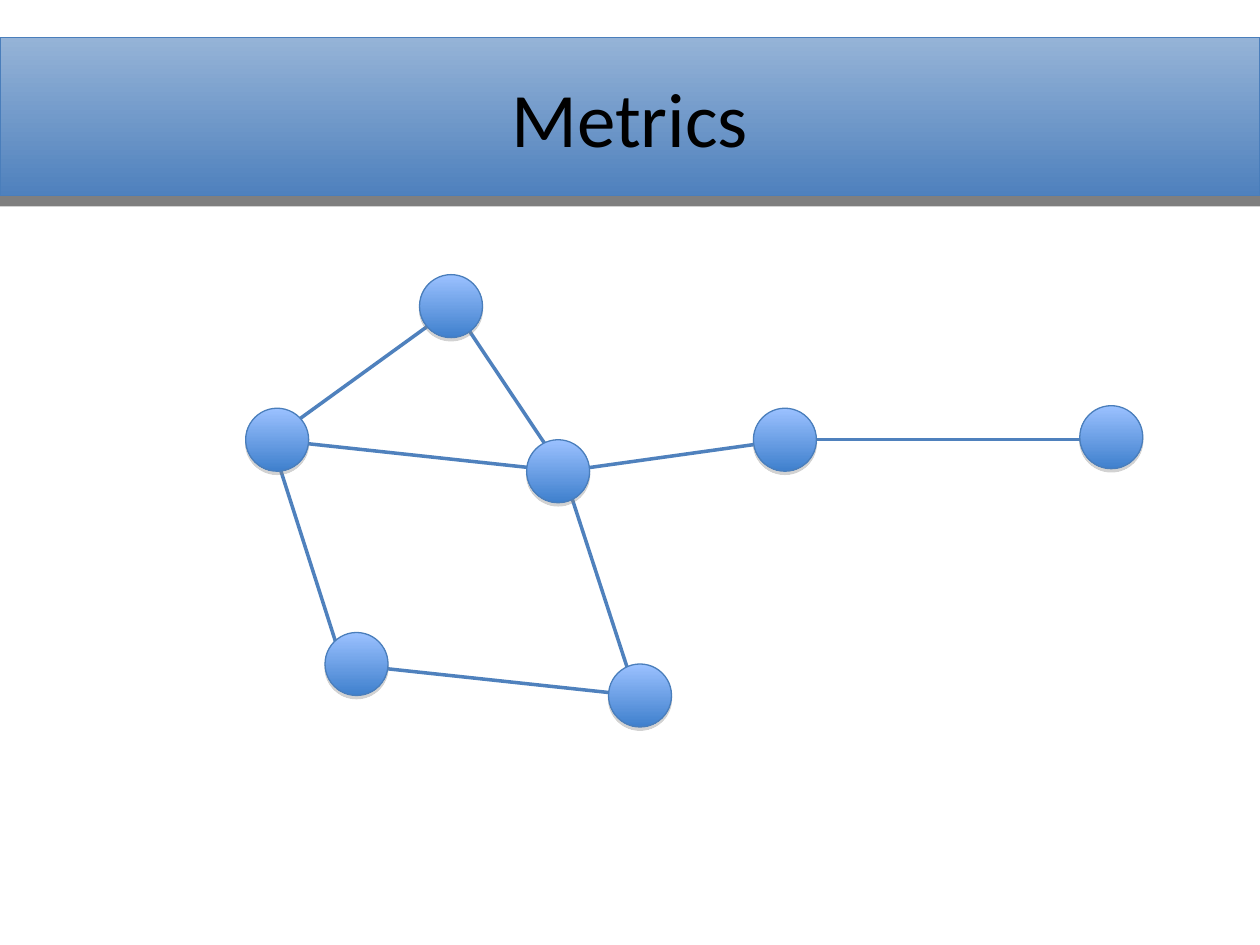
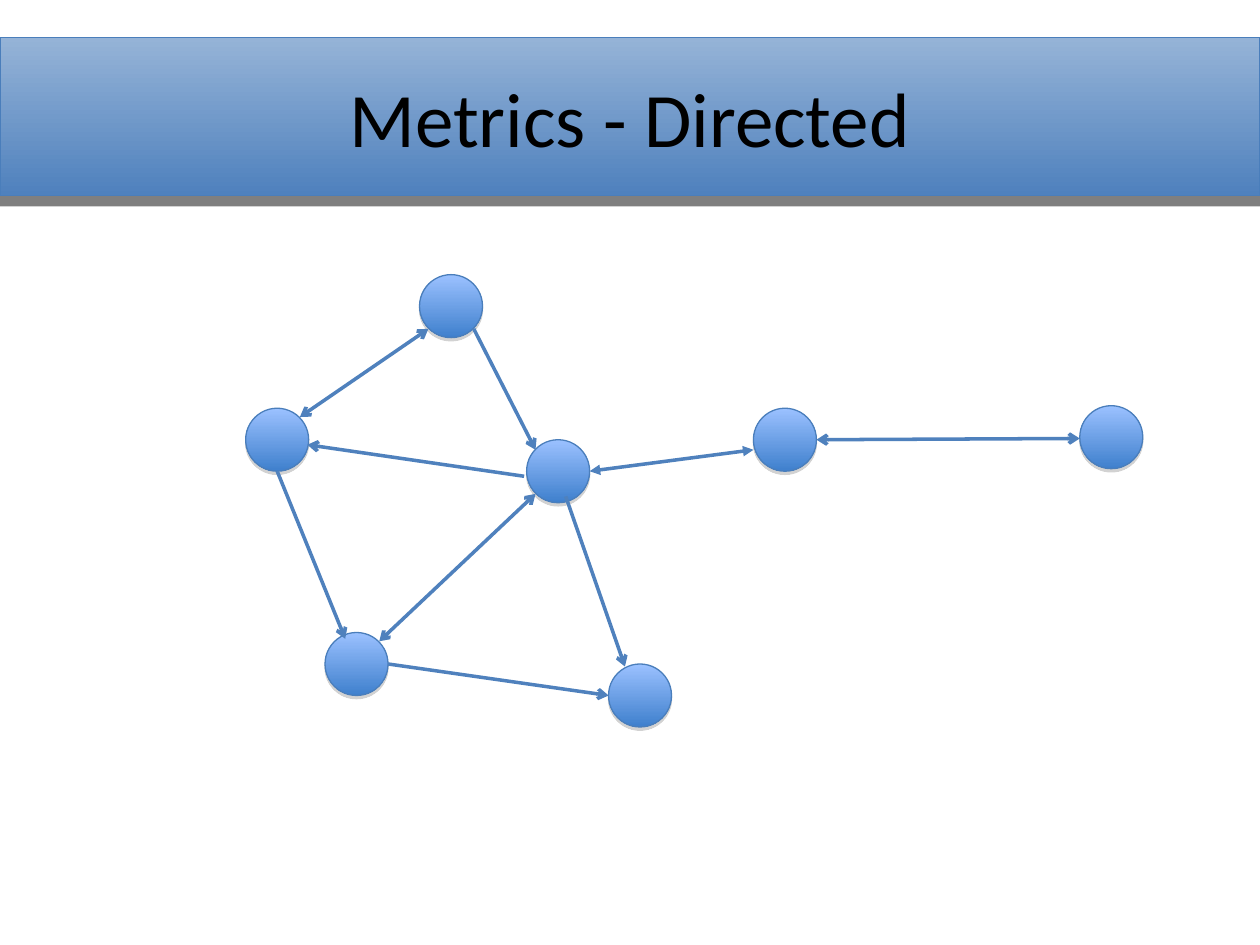
from lxml.etree import SubElement
from pptx import Presentation
from pptx.dml.color import RGBColor
from pptx.enum.shapes import MSO_CONNECTOR as CONN, MSO_SHAPE as SHAPE
from pptx.enum.text import MSO_ANCHOR as ANCHOR, PP_ALIGN as ALIGN
from pptx.oxml.ns import qn
from pptx.util import Inches, Pt

COLORS = {
    "band_top": "95B3D7", "band_bottom": "4F81BD",
    "node_top": "9BC1FF", "node_bottom": "3F80CD",
    "outline": "4A7EBB", "edge": "4F81BD", "title": "000000",
    "band_shadow": "000000", "node_shadow": "808080",
}
BAND = {"gradient": ("band_top", "band_bottom"), "shadow": ("band_shadow", 49, 6)}
NODE = {"gradient": ("node_top", "node_bottom"), "shadow": ("node_shadow", 35, 1.8)}
TITLE_FONT = {"name": "Calibri", "size": Pt(44)}
BAND_TOP, BAND_HEIGHT = 0.3, 1.25
NODE_SIZE = 0.5

NODES = [(1.95, 3.24), (2.58, 5.02), (4.18, 3.49), (4.83, 5.27),
         (5.98, 3.24), (3.33, 2.18), (8.57, 3.22)]

JOINTS = {"left": (2.15, 3.49), "top": (3.6, 2.44), "hub": (4.47, 3.74),
          "bridge": (6.26, 3.49), "end": (8.86, 3.49),
          "low_right": (5.05, 5.52), "low_left": (2.72, 5.27)}
LINKS = [("left", "top"), ("top", "hub"), ("left", "hub"), ("hub", "bridge"),
         ("bridge", "end"), ("hub", "low_right"), ("left", "low_left"),
         ("low_right", "low_left")]

TO = {"tailEnd": "arrow"}
BOTH = {"headEnd": "arrow", "tailEnd": "arrow"}
BOTH_SOLID = {"headEnd": "triangle", "tailEnd": "triangle"}

PLAIN_EDGES = [(JOINTS[a], JOINTS[b], {}) for a, b in LINKS]
DIRECTED_EDGES = [
    ((3.76, 2.61), (4.25, 3.57), TO),
    ((6.48, 3.49), (8.57, 3.48), BOTH),
    ((3.01, 5.09), (4.25, 3.92), BOTH),
    ((4.49, 3.94), (4.96, 5.29), TO),
    ((3.08, 5.27), (4.83, 5.52), TO),
    ((4.68, 3.74), (5.98, 3.57), BOTH_SOLID),
    ((2.38, 3.31), (3.4, 2.61), BOTH),
    ((4.16, 3.78), (2.44, 3.53), TO),
    ((2.2, 3.74), (2.74, 5.07), TO),
]


def color(name):
    return RGBColor.from_string(COLORS[name])


def add_glossy(slide, kind, box, style):
    sp = slide.shapes.add_shape(kind, *map(Inches, box))
    sp.fill.gradient()
    sp.fill.gradient_angle = 270
    for stop, name in zip(sp.fill.gradient_stops, style["gradient"]):
        stop.color.rgb = color(name)
    sp.line.color.rgb = color("outline")
    sp.line.width = Pt(0.75)
    sp.shadow.inherit = False
    name, alpha, distance = style["shadow"]
    effects = sp._element.spPr.find(qn("a:effectLst"))
    shadow = SubElement(effects, qn("a:outerShdw"), blurRad="0",
                        dist=str(Pt(distance)), dir="5400000", rotWithShape="0")
    tint = SubElement(shadow, qn("a:srgbClr"), val=COLORS[name])
    SubElement(tint, qn("a:alpha"), val=str(alpha * 1000))


def add_title(slide, text):
    add_glossy(slide, SHAPE.RECTANGLE, (0, BAND_TOP, 10, BAND_HEIGHT), BAND)
    box = slide.shapes.add_textbox(*map(Inches, (0.5, BAND_TOP, 9, BAND_HEIGHT)))
    tf = box.text_frame
    tf.word_wrap = True
    tf.vertical_anchor = ANCHOR.MIDDLE
    p = tf.paragraphs[0]
    p.alignment = ALIGN.CENTER
    r = p.add_run()
    r.text = text
    for key, value in TITLE_FONT.items():
        setattr(r.font, key, value)
    r.font.color.rgb = color("title")


def add_nodes(slide):
    for x, y in NODES:
        add_glossy(slide, SHAPE.OVAL, (x, y, NODE_SIZE, NODE_SIZE), NODE)


def add_edges(slide, edges):
    for start, end, heads in edges:
        line = slide.shapes.add_connector(CONN.STRAIGHT, *map(Inches, start + end))
        line.line.color.rgb = color("edge")
        line.line.width = Pt(2)
        ln = line.line._get_or_add_ln()
        for tag, kind in heads.items():
            SubElement(ln, qn(f"a:{tag}"), type=kind)
        SubElement(line._element.spPr, qn("a:effectLst"))


def main():
    prs = Presentation()
    prs.slide_width, prs.slide_height = Inches(10), Inches(7.5)
    blank = prs.slide_layouts[6]

    plain = prs.slides.add_slide(blank)
    add_title(plain, "Metrics")
    add_edges(plain, PLAIN_EDGES)
    add_nodes(plain)

    directed = prs.slides.add_slide(blank)
    add_title(directed, "Metrics - Directed")
    add_nodes(directed)
    add_edges(directed, DIRECTED_EDGES)

    prs.save("out.pptx")


if __name__ == "__main__":
    main()
